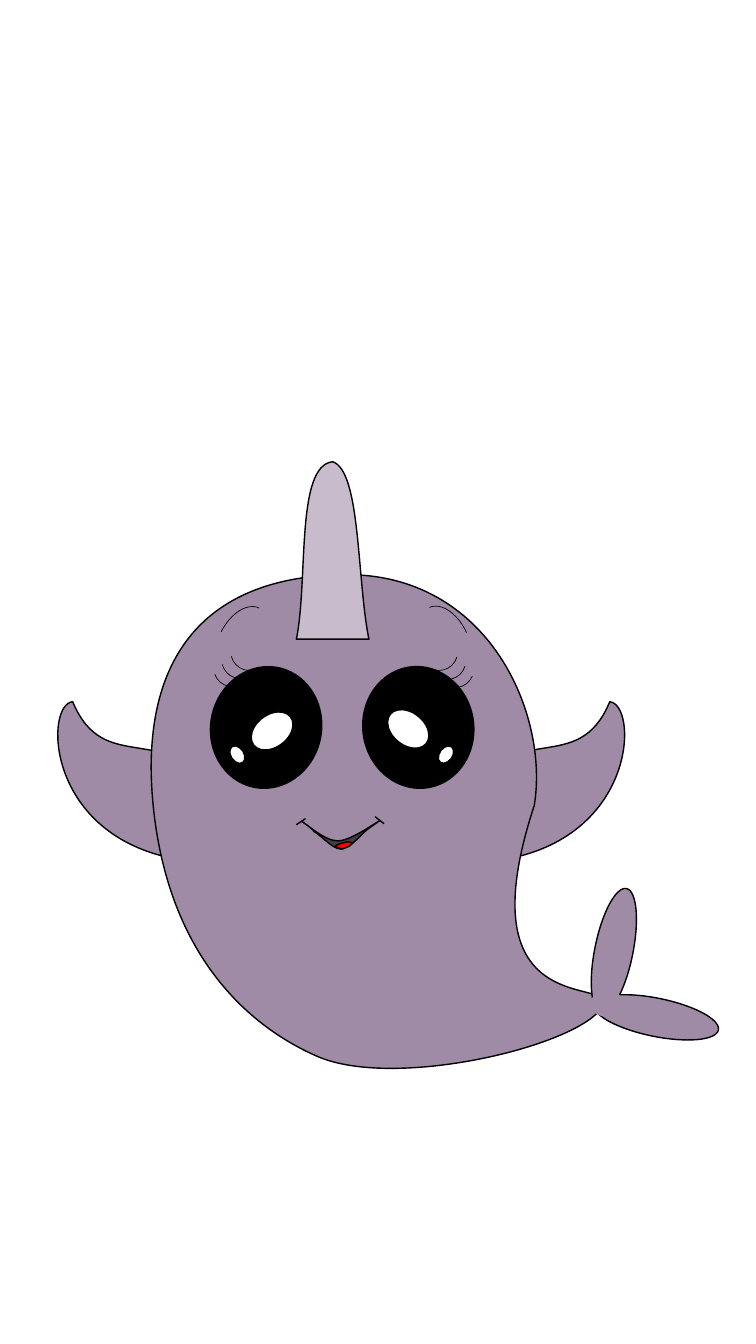
import math

import lxml.etree
import pptx
import pptx.util
import pptx.dml.color
import pptx.enum.shapes
import pptx.oxml.ns

PURPLE = pptx.dml.color.RGBColor(0xA0, 0x8B, 0xA7)
LILAC = pptx.dml.color.RGBColor(0xC8, 0xBC, 0xCC)
BLACK = pptx.dml.color.RGBColor(0x00, 0x00, 0x00)
WHITE = pptx.dml.color.RGBColor(0xFF, 0xFF, 0xFF)
GREY = pptx.dml.color.RGBColor(0x40, 0x40, 0x40)
RED = pptx.dml.color.RGBColor(0xFF, 0x00, 0x00)

SCALE = 9144
SLIDE_SIZE = (750, 1333)
BACKDROP = (0, 433, 750, 900)
FIN_MIRROR_SUM = 677

# Each segment holds one end point, or two control points and an end point.
LEFT_FIN = [(72, 696), (104, 772, 163, 711, 224, 791), (161, 849),
            (45, 819, 45, 699, 72, 696)]
RIGHT_FIN = [tuple(FIN_MIRROR_SUM - value if index % 2 == 0 else value
                   for index, value in enumerate(segment)) for segment in LEFT_FIN]
BODY = [(152, 799), (138, 659, 197, 572, 341, 570), (485, 568, 545, 709, 530, 799),
        (455, 1027, 627, 963, 595, 1002), (564, 1040, 387, 1081, 313, 1047),
        (239, 1014, 166, 940, 152, 799)]
HORN = [(294, 634), (306, 575, 293, 462, 330, 458), (358, 467, 354, 575, 366, 634),
        (294, 634)]
MOUTH = [(300, 815), (304, 817, 322, 834, 335, 834), (347, 834, 368, 819, 375, 815),
         (381, 811, 368, 820, 364, 823), (358, 828, 347, 842, 338, 842),
         (330, 842, 319, 829, 312, 825), (307, 819, 296, 813, 300, 815)]
TONGUE = [(344, 835), (346, 835, 348, 835, 350, 836), (347, 839),
          (345, 840, 342, 841, 340, 842), (339, 842, 338, 842, 336, 841),
          (333, 840), (333, 839), (336, 837, 340, 836, 344, 835)]
LEFT_DIMPLE = [(303, 812), (294, 818), (294, 818)]
RIGHT_DIMPLE = [(372, 810), (381, 817), (381, 817)]

BODY_OUTLINES = [
    (LEFT_FIN, (46, 697, 177, 131), 62.2, PURPLE),
    (RIGHT_FIN, (453, 697, 177, 131), 297.8, PURPLE),
    (BODY, (150, 570, 449, 490), 0, PURPLE),
    (HORN, (294, 458, 71, 176), 0, LILAC),
]
MOUTH_OUTLINES = [
    (LEFT_DIMPLE, (294, 812, 9, 6), 0, None),
    (MOUTH, (299, 814, 77, 28), 0, GREY),
    (TONGUE, (333, 836, 17, 6), 356.2, RED),
    (RIGHT_DIMPLE, (372, 810, 9, 6), 0, None),
]

OVAL = pptx.enum.shapes.MSO_SHAPE.OVAL
ARC = pptx.enum.shapes.MSO_SHAPE.ARC
RECTANGLE = pptx.enum.shapes.MSO_SHAPE.RECTANGLE

FACE = [
    (OVAL, (360, 661, 110, 121), 350.6, False, BLACK),
    (ARC, (417, 628, 37, 37), 106.2, False, None),
    (ARC, (425, 637, 37, 37), 106.2, False, None),
    (ARC, (433, 645, 37, 37), 112.3, False, None),
    (OVAL, (382, 707, 46, 32), 39.4, False, WHITE),
    (OVAL, (433, 742, 19, 13), 305.3, False, WHITE),
    (ARC, (419, 599, 46, 76), 335.4, False, None),
    (OVAL, (209, 661, 110, 121), 11.7, True, BLACK),
    (ARC, (229, 628, 37, 37), 256.1, True, None),
    (ARC, (220, 636, 37, 37), 256.1, True, None),
    (ARC, (212, 644, 37, 37), 250.1, True, None),
    (OVAL, (247, 709, 46, 32), 322.9, True, WHITE),
    (OVAL, (226, 742, 19, 13), 57, True, WHITE),
    (ARC, (217, 599, 46, 76), 26.9, True, None),
]
TAIL = [
    ((590, 880, 38, 126), 11.4, BLACK),
    ((632, 946, 38, 126), 101.5, BLACK),
    ((588, 979, 27, 31), 254.4, None),
]


def paint(shape, fill, line_color=BLACK, line_width=1):
    shape.shadow.inherit = False
    if fill is None:
        shape.fill.background()
    else:
        shape.fill.solid()
        shape.fill.fore_color.rgb = fill
    if line_color is None:
        shape.line.fill.background()
    else:
        shape.line.color.rgb = line_color
        shape.line.width = pptx.util.Pt(line_width)


def place(shape, box, rotation):
    frame = dict(zip(("left", "top", "width", "height"),
                     (pptx.util.Emu(value * SCALE) for value in box)))
    for name, value in {**frame, "rotation": rotation}.items():
        setattr(shape, name, value)


def local_points(segment, box, rotation):
    left, top, width, height = box
    cosine, sine = math.cos(math.radians(rotation)), math.sin(math.radians(rotation))
    for x, y in zip(segment[::2], segment[1::2]):
        across, down = x - left - width / 2, y - top - height / 2
        yield (round((across * cosine + down * sine + width / 2) * SCALE),
               round((down * cosine - across * sine + height / 2) * SCALE))


def add_outline(slide, outline, box, rotation, fill):
    ends = [segment[-2:] for segment in outline]
    builder = slide.shapes.build_freeform(*ends[0], scale=SCALE)
    builder.add_line_segments(ends[1:], close=False)
    shape = builder.convert_to_shape()
    place(shape, box, rotation)
    paint(shape, fill)

    qn = pptx.oxml.ns.qn
    outline_path = next(shape.element.iter(qn("a:path")))
    for child in list(outline_path):
        outline_path.remove(child)
    outline_path.set("w", str(box[2] * SCALE))
    outline_path.set("h", str(box[3] * SCALE))
    for index, segment in enumerate(outline):
        tag = "a:moveTo" if index == 0 else "a:lnTo" if len(segment) == 2 else "a:cubicBezTo"
        command = lxml.etree.SubElement(outline_path, qn(tag))
        for x, y in local_points(segment, box, rotation):
            lxml.etree.SubElement(command, qn("a:pt"), x=str(x), y=str(y))
    if fill is not None:
        lxml.etree.SubElement(outline_path, qn("a:close"))


def add_preset(slide, kind, box, rotation=0):
    shape = slide.shapes.add_shape(kind, *(value * SCALE for value in box))
    shape.rotation = rotation
    return shape


def main():
    presentation = pptx.Presentation()
    presentation.slide_width, presentation.slide_height = (
        pptx.util.Emu(value * SCALE) for value in SLIDE_SIZE)
    slide = presentation.slides.add_slide(presentation.slide_layouts[6])

    paint(add_preset(slide, RECTANGLE, BACKDROP), WHITE, WHITE)
    for outline in BODY_OUTLINES:
        add_outline(slide, *outline)
    for kind, box, rotation, flipped, fill in FACE:
        shape = add_preset(slide, kind, box, rotation)
        paint(shape, fill, line_width=0.5 if kind == ARC else 1)
        if flipped:
            shape.element.spPr.get_or_add_xfrm().set("flipH", "1")
    for box, rotation, line_color in TAIL:
        paint(add_preset(slide, OVAL, box, rotation), PURPLE, line_color)
    for outline in MOUTH_OUTLINES:
        add_outline(slide, *outline)

    presentation.save("out.pptx")


if __name__ == "__main__":
    main()
